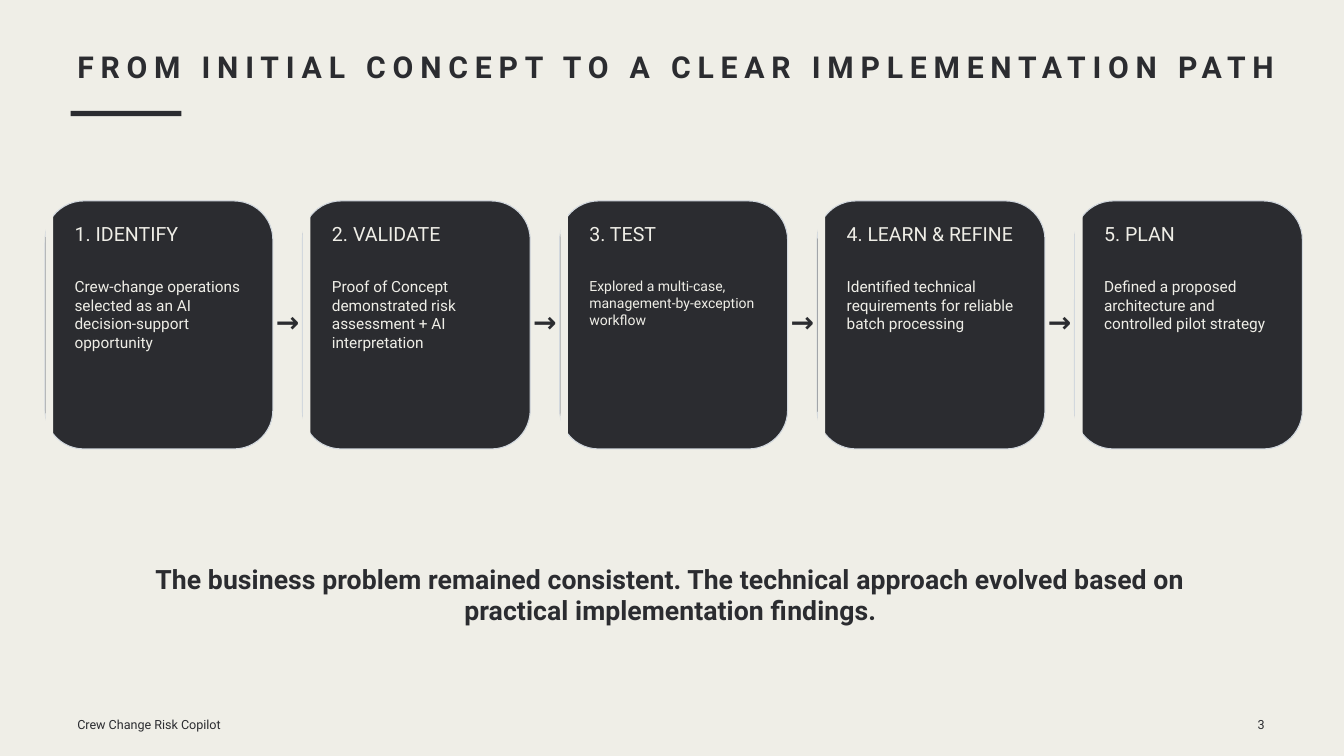
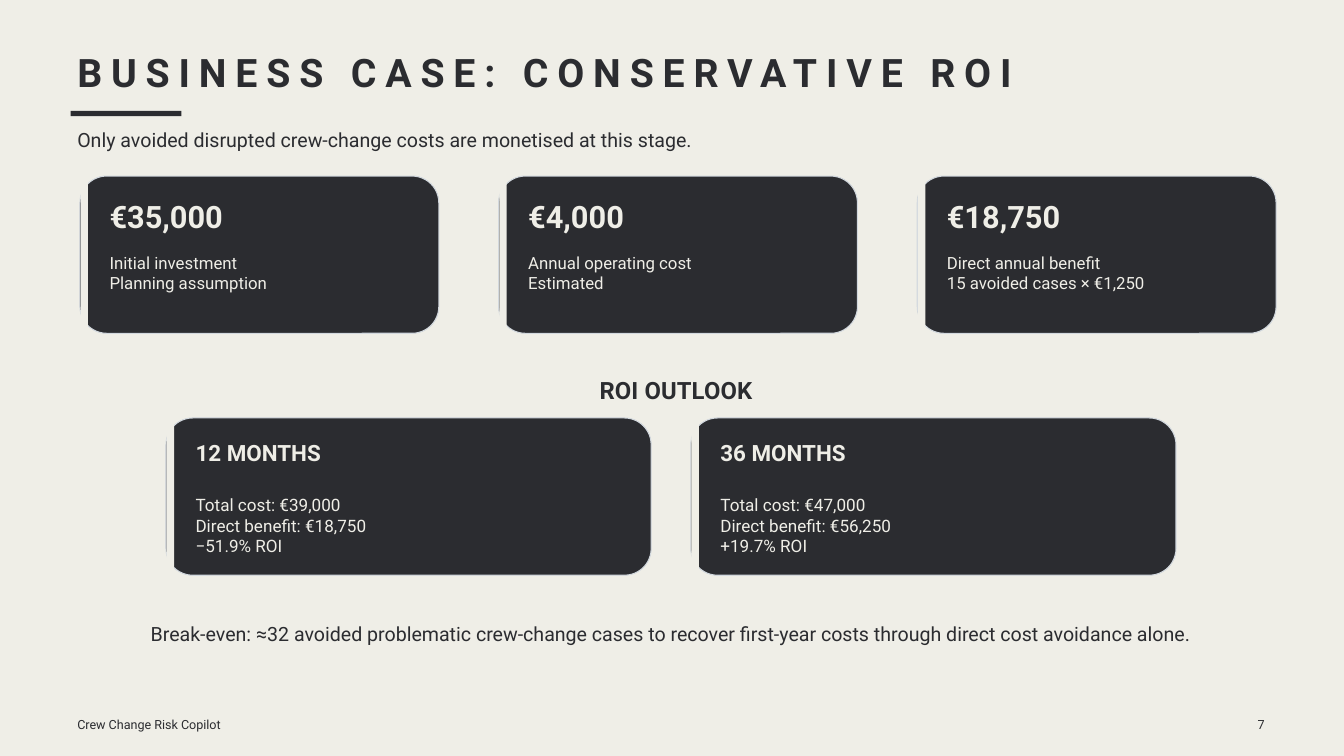
from dataclasses import dataclass

from pptx import Presentation
from pptx.dml.color import RGBColor
from pptx.enum.shapes import MSO_SHAPE
from pptx.enum.text import MSO_ANCHOR, MSO_AUTO_SIZE, PP_ALIGN
from pptx.util import Emu, Pt

LEFT, CENTER, RIGHT = PP_ALIGN.LEFT, PP_ALIGN.CENTER, PP_ALIGN.RIGHT
TOP = MSO_ANCHOR.TOP
NO_AUTOFIT = MSO_AUTO_SIZE.NONE
RECTANGLE, ROUNDED = MSO_SHAPE.RECTANGLE, MSO_SHAPE.ROUNDED_RECTANGLE
TITLE_ONLY = 5
EMU_PER_PX = 9144


@dataclass(frozen=True)
class Theme:
    """Colours, font and type sizes shared by the slides."""
    font: str = "Roboto"
    ink: RGBColor = RGBColor(0x2B, 0x2C, 0x30)
    paper: RGBColor = RGBColor(0xEF, 0xEE, 0xE7)
    edge: RGBColor = RGBColor(0xD2, 0xD8, 0xDE)
    edge_width: float = 1.13
    title: float = 42
    long_title: float = 32.3
    metric: float = 33
    arrow: float = 30.1
    conclusion: float = 28.5
    section: float = 25.5
    outlook: float = 24
    lead: float = 21
    tight_lead: float = 20.8
    outlook_body: float = 18.3
    metric_body: float = 18
    step_body: float = 16.5
    tight_body: float = 15
    footer: float = 13.5
    leading: float = 1.2


THEME = Theme()

STEPS = [
    ("1. IDENTIFY", THEME.lead, THEME.step_body,
     "Crew-change operations selected as an AI decision-support opportunity"),
    ("2. VALIDATE", THEME.lead, THEME.step_body,
     "Proof of Concept demonstrated risk assessment + AI interpretation"),
    ("3. TEST", THEME.lead, THEME.tight_body,
     "Explored a multi-case, management-by-exception workflow"),
    ("4. LEARN & REFINE", THEME.tight_lead, THEME.step_body,
     "Identified technical requirements for reliable batch processing"),
    ("5. PLAN", THEME.lead, THEME.step_body,
     "Defined a proposed architecture and controlled pilot strategy"),
]
METRICS = [
    ("€35,000", "Initial investment\nPlanning assumption"),
    ("€4,000", "Annual operating cost\nEstimated"),
    ("€18,750", "Direct annual benefit\n15 avoided cases × €1,250"),
]
OUTLOOKS = [
    ("12 MONTHS", "Total cost: €39,000\nDirect benefit: €18,750\n−51.9% ROI"),
    ("36 MONTHS", "Total cost: €47,000\nDirect benefit: €56,250\n+19.7% ROI"),
]


def px(*lengths):
    """Turn px lengths into EMU."""
    return [Emu(length * EMU_PER_PX) for length in lengths]


def write(box, text, size, color=THEME.ink, bold=False, align=LEFT, tracking=0):
    """Fill a text shape with uniformly formatted paragraphs and no insets."""
    frame = box.text_frame
    frame.text = text
    frame.word_wrap = True
    frame.auto_size = NO_AUTOFIT
    frame.vertical_anchor = TOP
    frame.margin_left = frame.margin_top = frame.margin_right = frame.margin_bottom = 0
    for para in frame.paragraphs:
        para.alignment = align
        para.line_spacing = Pt(size * THEME.leading)
        para.space_before = Pt(0)
        for span in para.runs:
            span.font.name = THEME.font
            span.font.size = Pt(size)
            span.font.bold = bold
            span.font.color.rgb = color
            if tracking:
                span.font._element.set("spc", str(round(tracking * 100)))


def add_text(page, area, text, size, **style):
    """Add a text box covering the area."""
    write(page.shapes.add_textbox(*px(*area)), text, size, **style)


def add_block(page, kind, area, color):
    """Add a flat filled shape without outline or shadow."""
    block = page.shapes.add_shape(kind, *px(*area))
    block.shadow.inherit = False
    block.fill.solid()
    block.fill.fore_color.rgb = color
    block.line.fill.background()
    return block


def add_card(page, area, heading, heading_size, body, body_size, bold=False):
    """Add a dark rounded card with a pale left strip, heading and body."""
    left, top, width, height = area
    card = add_block(page, ROUNDED, area, THEME.ink)
    card.adjustments[0] = 0.17
    card.line.color.rgb = THEME.edge
    card.line.width = Pt(THEME.edge_width)
    add_block(page, RECTANGLE, (left + 1, top + 1, 11, height - 1), THEME.paper)
    inner_left, inner_width = left + 44, width - 78
    add_text(page, (inner_left, top + 32, inner_width, 50), heading, heading_size,
             color=THEME.paper, bold=bold)
    add_text(page, (inner_left, top + 114, inner_width, height - 140), body, body_size,
             color=THEME.paper)


def add_page(deck, title, size, tracking, number):
    """Add a slide with title, title rule and footer."""
    page = deck.slides.add_slide(deck.slide_layouts[TITLE_ONLY])
    heading = page.shapes.title
    heading.left, heading.top, heading.width, heading.height = px(115, 72, 1871, 71)
    write(heading, title, size, bold=True, tracking=tracking)
    add_block(page, RECTANGLE, (105, 165, 165, 8), THEME.ink)
    add_text(page, (115, 1067, 400, 23), "Crew Change Risk Copilot", THEME.footer)
    add_text(page, (1832, 1067, 50, 23), str(number), THEME.footer, align=RIGHT)
    return page


def build_path(deck):
    """Build the five-step implementation path."""
    page = add_page(deck, "FROM INITIAL CONCEPT TO A CLEAR IMPLEMENTATION PATH",
                    THEME.long_title, 7.3, 3)
    for index, (heading, heading_size, body_size, body) in enumerate(STEPS):
        left = 67 + 383 * index
        if index:
            add_text(page, (left - 43, 453, 42, 52), "→", THEME.arrow,
                     bold=True, align=CENTER)
        add_card(page, (left, 299, 339, 369), heading, heading_size, body, body_size)
    add_text(page, (175, 837, 1646, 95),
             "The business problem remained consistent. The technical approach "
             "evolved based on practical implementation findings.",
             THEME.conclusion, bold=True, align=CENTER, tracking=0.1)


def build_business_case(deck):
    """Build the business case with metrics and ROI outlook."""
    page = add_page(deck, "BUSINESS CASE: CONSERVATIVE ROI", THEME.title, 9.5, 7)
    add_text(page, (115, 191, 1751, 36),
             "Only avoided disrupted crew-change costs are monetised at this stage.",
             THEME.lead)
    for index, (amount, meaning) in enumerate(METRICS):
        add_card(page, (119 + 623 * index, 262, 534, 234), amount, THEME.metric,
                 meaning, THEME.metric_body, bold=True)
    add_text(page, (884, 559, 244, 43), "ROI OUTLOOK", THEME.section,
             bold=True, align=CENTER, tracking=0.1)
    for index, (period, result) in enumerate(OUTLOOKS):
        add_card(page, (247 + 781 * index, 622, 722, 234), period, THEME.outlook,
                 result, THEME.outlook_body, bold=True)
    add_text(page, (160, 926, 1676, 36),
             "Break-even: ≈32 avoided problematic crew-change cases to recover "
             "first-year costs through direct cost avoidance alone.",
             THEME.lead, align=CENTER)


def main():
    """Build and save the deck."""
    deck = Presentation()
    deck.slide_width, deck.slide_height = px(2000, 1125)
    backdrop = deck.slide_master.background.fill
    backdrop.solid()
    backdrop.fore_color.rgb = THEME.paper
    build_path(deck)
    build_business_case(deck)
    deck.save("out.pptx")


if __name__ == "__main__":
    main()
